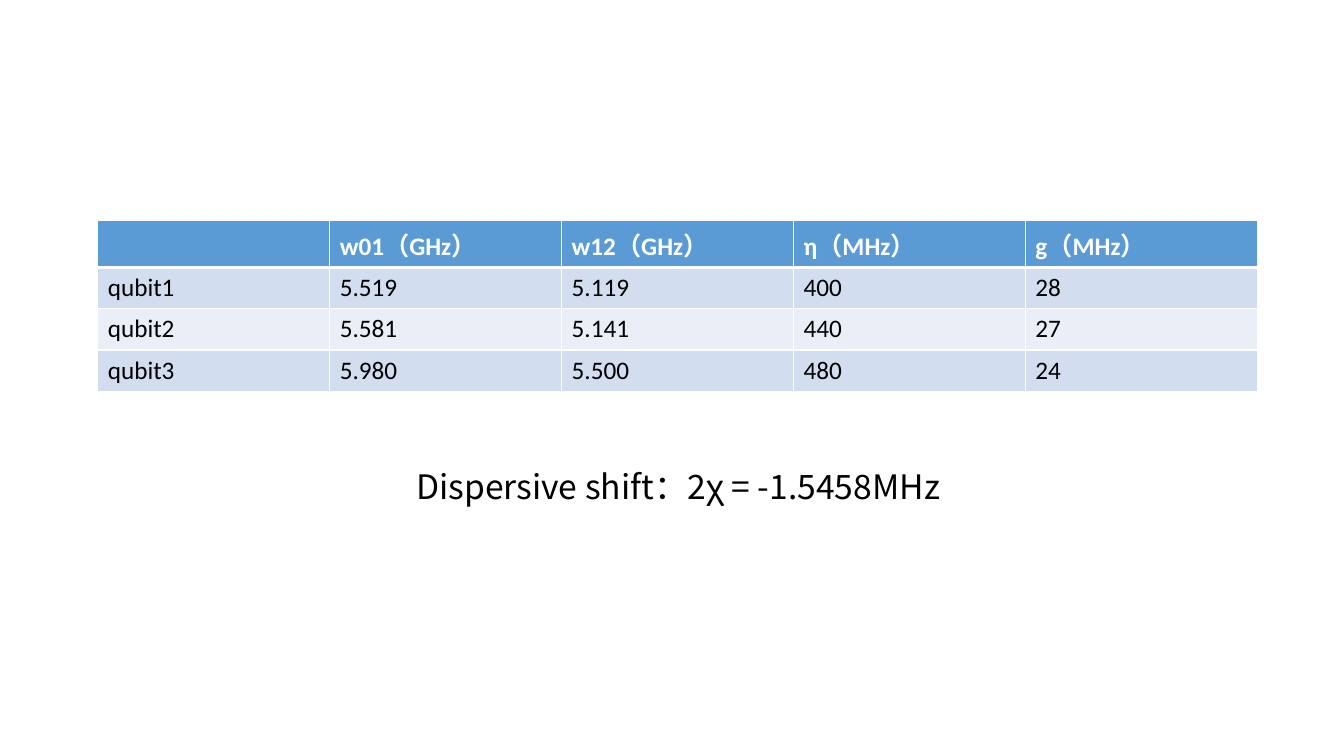
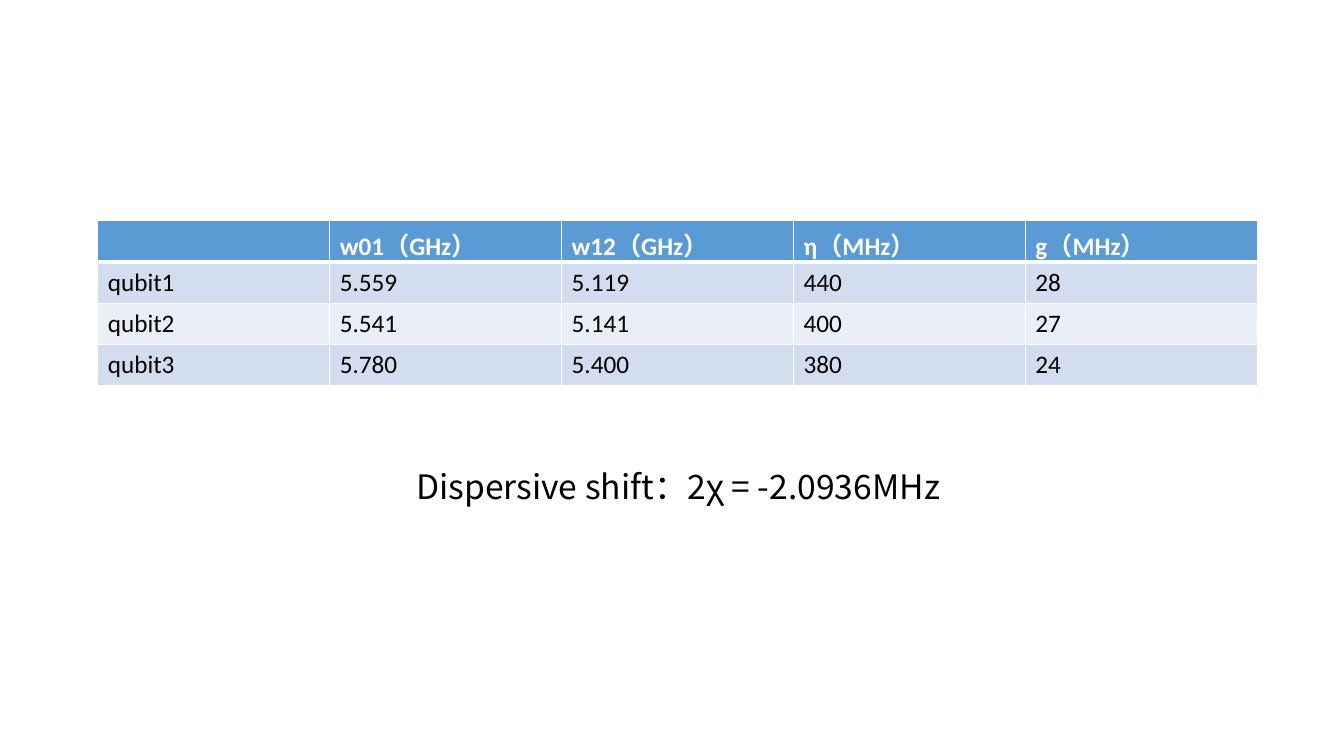
from lxml.etree import SubElement
from pptx import Presentation
from pptx.dml.color import RGBColor
from pptx.enum.text import MSO_AUTO_SIZE, PP_ALIGN
from pptx.oxml.ns import qn
from pptx.util import Inches, Pt

# Content
HEADERS = ["", "w01（GHz）", "w12（GHz）", "η（MHz）", "g（MHz）"]
SLIDES = [
    {
        "rows": [
            ["qubit1", "5.519", "5.119", "400", "28"],
            ["qubit2", "5.581", "5.141", "440", "27"],
            ["qubit3", "5.980", "5.500", "480", "24"],
        ],
        "shift": "Dispersive shift：2χ = -1.5458MHz",
    },
    {
        "rows": [
            ["qubit1", "5.559", "5.119", "440", "28"],
            ["qubit2", "5.541", "5.141", "400", "27"],
            ["qubit3", "5.780", "5.400", "380", "24"],
        ],
        "shift": "Dispersive shift：2χ = -2.0936MHz",
    },
]

# Shared style
COLORS = {
    "header": "5B9BD5",
    "odd": "D2DEEF",
    "even": "EAEFF7",
    "white": "FFFFFF",
    "black": "000000",
}
TABLE_FONT = "Calibri"
EAST_ASIAN_FONT = "Noto Sans CJK SC"
COLUMN_WIDTH = Inches(2.3)
ROW_HEIGHT = Inches(0.41)


def color(name):
    return RGBColor.from_string(COLORS[name])


def format_text(para, size, font_name, color_name, bold=False):
    for span in para.runs:
        font = span.font
        font.size, font.name, font.bold = Pt(size), font_name, bold
        font.color.rgb = color(color_name)
        SubElement(span._r.get_or_add_rPr(), qn("a:ea"), typeface=EAST_ASIAN_FONT)


def add_borders(cell, widths):
    properties = cell._tc.get_or_add_tcPr()
    for side, width in widths.items():
        line = SubElement(properties, qn(f"a:ln{side}"), w=str(Pt(width)))
        fill = SubElement(line, qn("a:solidFill"))
        SubElement(fill, qn("a:srgbClr"), val=COLORS["white"])


def add_qubit_table(page, rows):
    grid = [HEADERS] + rows
    frame = page.shapes.add_table(
        len(grid), len(HEADERS), Inches(0.97), Inches(2.19),
        COLUMN_WIDTH * len(HEADERS), ROW_HEIGHT * len(grid))
    table = frame.table
    for column in table.columns:
        column.width = COLUMN_WIDTH
    for row_index, values in enumerate(grid):
        table.rows[row_index].height = ROW_HEIGHT
        is_header = row_index == 0
        fill_name = "header" if is_header else ("even", "odd")[row_index % 2]
        # The rule under the header is thicker than the others
        widths = {"L": 1, "R": 1,
                  "T": 3 if row_index == 1 else 1,
                  "B": 3 if is_header else 1}
        for column_index, value in enumerate(values):
            cell = table.cell(row_index, column_index)
            cell.text_frame.text = value
            format_text(cell.text_frame.paragraphs[0], 18, TABLE_FONT,
                        "white" if is_header else "black", is_header)
            add_borders(cell, widths)
            cell.fill.solid()
            cell.fill.fore_color.rgb = color(fill_name)


def add_shift_text(page, text):
    box = page.shapes.add_textbox(
        Inches(2.07), Inches(4.57), Inches(9.31), Inches(0.5))
    frame = box.text_frame
    frame.word_wrap = True
    frame.auto_size = MSO_AUTO_SIZE.SHAPE_TO_FIT_TEXT
    frame.text = text
    para = frame.paragraphs[0]
    para.alignment = PP_ALIGN.CENTER
    format_text(para, 24, EAST_ASIAN_FONT, "black")


def main():
    deck = Presentation()
    deck.slide_width, deck.slide_height = Inches(13.33), Inches(7.5)
    blank_layout = deck.slide_layouts[6]
    for content in SLIDES:
        page = deck.slides.add_slide(blank_layout)
        add_qubit_table(page, content["rows"])
        add_shift_text(page, content["shift"])
    deck.save("out.pptx")


if __name__ == "__main__":
    main()
